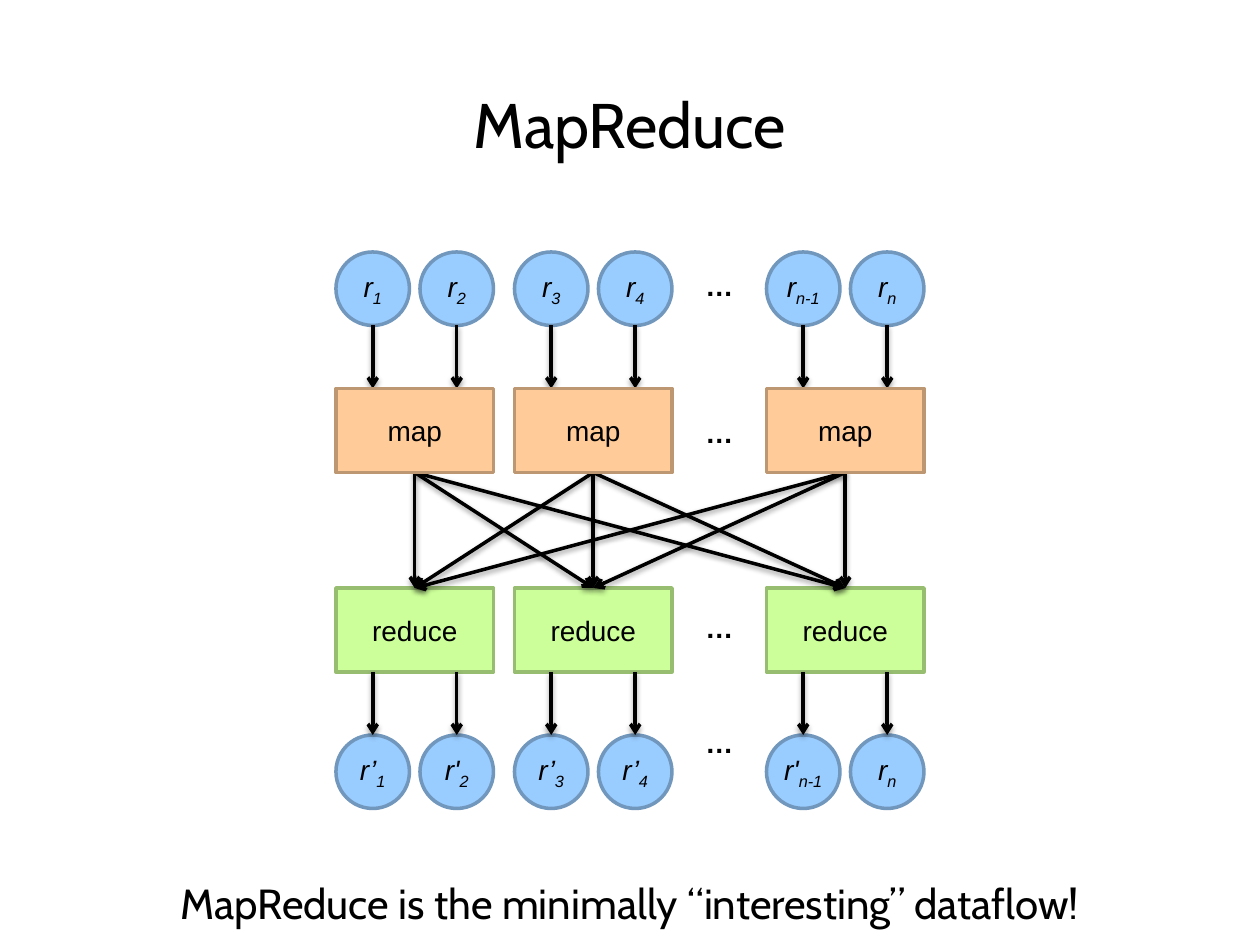
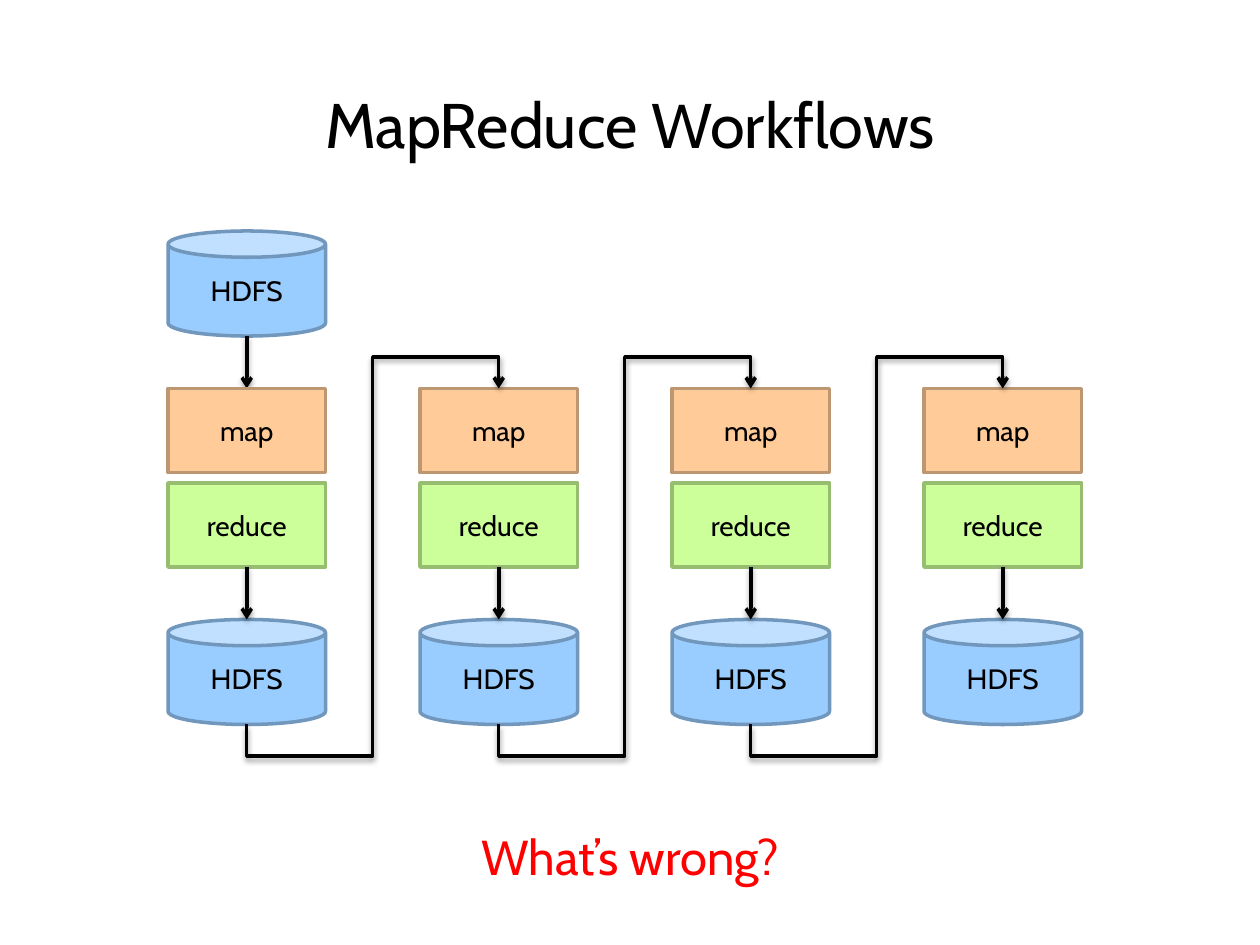
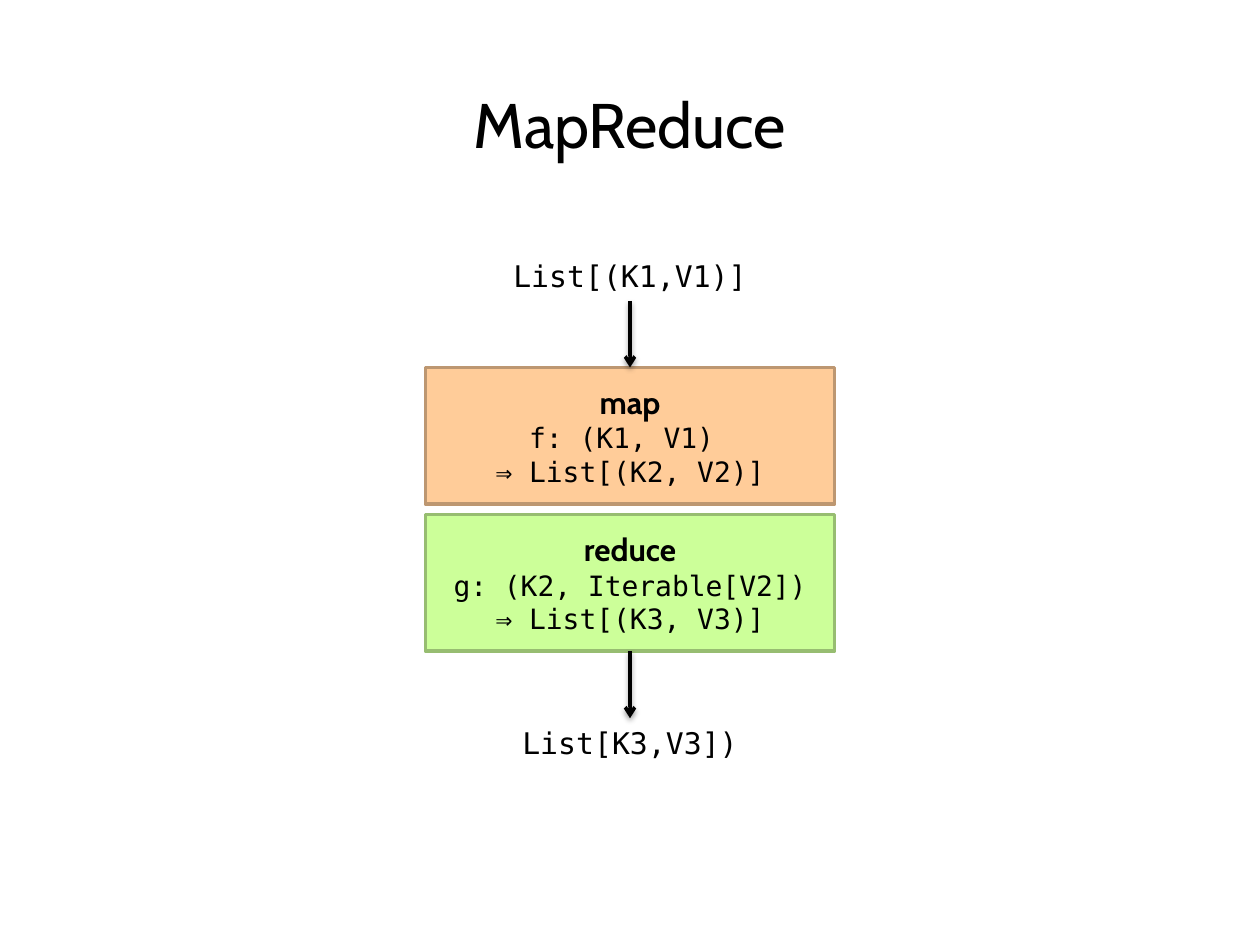
from itertools import product

from lxml.etree import SubElement
from pptx import Presentation
from pptx.dml.color import RGBColor
from pptx.enum.shapes import MSO_CONNECTOR, MSO_SHAPE
from pptx.enum.text import MSO_ANCHOR, PP_ALIGN
from pptx.oxml.ns import qn
from pptx.util import Pt

BLACK, RED = "000000", "FF0000"
BLUE = ("99CCFF", "7197BD")
ORANGE = ("FFCC99", "BD9771")
GREEN = ("CCFF99", "97BD71")

TITLE = {"name": "Cabin", "size": Pt(36)}
CAPTION = {"name": "Cabin", "size": Pt(24)}
QUESTION = {"name": "Cabin", "size": Pt(28)}
STEP = {"name": "Cabin", "size": Pt(16)}
HEADING = {"name": "Cabin", "size": Pt(18), "bold": True}
CODE = {"name": "DejaVu Sans Mono", "size": Pt(16)}
DATA_TYPE = {"name": "DejaVu Sans Mono", "size": Pt(17)}
TASK = {"name": "Arial", "size": Pt(16)}
RECORD = TASK | {"italic": True}
DOTS = TASK | {"bold": True}

CENTRED = {"word_wrap": True, "vertical_anchor": MSO_ANCHOR.MIDDLE}
FROM_TOP = {"word_wrap": True, "vertical_anchor": MSO_ANCHOR.TOP}
UNWRAPPED = {"word_wrap": False}
NO_MARGINS = CENTRED | dict.fromkeys(
    ("margin_left", "margin_top", "margin_right", "margin_bottom"), 0)

STEP_WIDTH, STEP_HEIGHT = 90, 48
RECORD_SIZE, RECORD_PITCH = 42, 48


def apply(target, values):
    """Set each named attribute on the target."""
    for name, value in values.items():
        setattr(target, name, value)


def paint(fill, colour):
    """Give a fill one solid colour from a hex string."""
    fill.solid()
    fill.fore_color.rgb = RGBColor.from_string(colour)


def write(frame, runs, layout=CENTRED, colour=BLACK, align=PP_ALIGN.CENTER):
    """Write (text, font values) runs into one paragraph, breaking at newlines."""
    apply(frame, layout)
    paragraph = frame.paragraphs[0]
    paragraph.alignment = align
    written = []
    for text, font in runs:
        for index, line in enumerate(text.split("\n")):
            if index:
                paragraph.add_line_break()
            if line:
                run = paragraph.add_run()
                run.text = line
                apply(run.font, font)
                paint(run.font.fill, colour)
                written.append(run)
    return written


def titled_slide(deck, title):
    """Add a slide with the shared title style."""
    slide = deck.slides.add_slide(deck.slide_layouts[5])
    heading = slide.shapes.title
    apply(heading, {"left": 0, "top": Pt(43.2), "width": Pt(720), "height": Pt(54)})
    write(heading.text_frame, [(title, TITLE)])
    return slide


def note(slide, box, text, font, layout=FROM_TOP, **style):
    """Add free text in a box of left, top, width and height."""
    area = slide.shapes.add_textbox(*map(Pt, box))
    write(area.text_frame, [(text, font)], layout, **style)


def node(slide, preset, box, colours, runs, layout=CENTRED):
    """Add a filled and outlined diagram node, returning its text runs."""
    body = slide.shapes.add_shape(preset, *map(Pt, box))
    body.shadow.inherit = False
    fill, outline = colours
    paint(body.fill, fill)
    paint(body.line.fill, outline)
    body.line.width = Pt(2)
    return write(body.text_frame, runs, layout)


def step(slide, left, top, text, colours, font):
    """Add a map or reduce box."""
    node(slide, MSO_SHAPE.RECTANGLE, (left, top, STEP_WIDTH, STEP_HEIGHT),
         colours, [(text, font)])


def record(slide, left, top, symbol, index):
    """Add a record circle with a subscript index."""
    runs = node(slide, MSO_SHAPE.OVAL, (left, top, RECORD_SIZE, RECORD_SIZE), BLUE,
                [(symbol, RECORD), (index, RECORD)], NO_MARGINS)
    runs[-1].font._element.set("baseline", "-25000")


def storage(slide, left, top):
    """Add an HDFS cylinder."""
    node(slide, MSO_SHAPE.CAN, (left, top, STEP_WIDTH, 60), BLUE, [("HDFS", STEP)])


def arrow(slide, start, end, kind=MSO_CONNECTOR.STRAIGHT):
    """Add a softly shadowed black arrow between two points."""
    link = slide.shapes.add_connector(kind, *map(Pt, (*start, *end)))
    paint(link.line.fill, BLACK)
    link.line.width = Pt(2)
    properties = link._element.spPr
    SubElement(properties.find(qn("a:ln")), qn("a:tailEnd"), type="arrow")
    effects = SubElement(properties, qn("a:effectLst"))
    shadow = SubElement(effects, qn("a:outerShdw"), blurRad="40000", dist="20000",
                        dir="5400000", rotWithShape="0")
    tint = SubElement(shadow, qn("a:srgbClr"), val=BLACK)
    SubElement(tint, qn("a:alpha"), val="38000")
    return link


def return_arrow(slide, start, end):
    """Add an arrow that leaves downwards, climbs and enters from above."""
    (x1, y1), (x2, y2) = start, end
    middle_x, middle_y = (x1 + x2) / 2, (y1 + y2) / 2
    half_rise, half_run = (y1 - y2) / 2, (x2 - x1) / 2
    link = arrow(slide, (middle_x + half_rise, middle_y + half_run),
                 (middle_x - half_rise, middle_y - half_run), MSO_CONNECTOR.ELBOW)
    properties = link._element.spPr
    properties.find(qn("a:xfrm")).set("rot", "5400000")
    geometry = properties.find(qn("a:prstGeom"))
    geometry.set("prst", "bentConnector5")
    guides = geometry.find(qn("a:avLst"))
    if guides is None:
        guides = SubElement(geometry, qn("a:avLst"))
    for number, value in enumerate((-9375, 50000, 109375), start=1):
        SubElement(guides, qn("a:gd"), name=f"adj{number}", fmla=f"val {value}")


def dataflow_slide(deck):
    """Show records passing through map, shuffle and reduce."""
    slide = titled_slide(deck, "MapReduce")
    lefts = (192, 294, 438)
    centres = [left + STEP_WIDTH / 2 for left in lefts]
    record_lefts = [left + offset for left in lefts for offset in (0, RECORD_PITCH)]
    indices = ("1", "2", "3", "4", "n-1", "n")
    outputs = ("r’", "r'", "r’", "r’", "r'", "r")

    for left in lefts:
        step(slide, left, 336, "reduce", GREEN, TASK)
    for source, target in product(centres, repeat=2):
        arrow(slide, (source, 270), (target, 336))
    for left, index, output in zip(record_lefts, indices, outputs):
        record(slide, left, 144, "r", index)
        record(slide, left, 420, output, index)
        centre = left + RECORD_SIZE / 2
        arrow(slide, (centre, 186), (centre, 222))
        arrow(slide, (centre, 384), (centre, 420))
    for left in lefts:
        step(slide, left, 222, "map", ORANGE, TASK)
    for top in (150, 234, 345.6, 411):
        note(slide, (396, top, 31, 26.6), "…", DOTS, UNWRAPPED, align=PP_ALIGN.LEFT)
    note(slide, (0, 498, 720, 36),
         "MapReduce is the minimally “interesting” dataflow!", CAPTION)


def workflow_slide(deck):
    """Show four chained jobs that pass data through storage."""
    slide = titled_slide(deck, "MapReduce Workflows")
    first_left, pitch, jobs = 96, 144, 4
    storage(slide, first_left, 132)
    arrow(slide, (first_left + STEP_WIDTH / 2, 192), (first_left + STEP_WIDTH / 2, 222))
    for job in range(jobs):
        left = first_left + job * pitch
        centre = left + STEP_WIDTH / 2
        step(slide, left, 276, "reduce", GREEN, STEP)
        step(slide, left, 222, "map", ORANGE, STEP)
        storage(slide, left, 354)
        arrow(slide, (centre, 324), (centre, 354))
        if job:
            return_arrow(slide, (centre - pitch, 414), (centre, 222))
    note(slide, (0, 468.7, 720, 41), "What’s wrong?", QUESTION, colour=RED)


def signature_slide(deck):
    """Show the types that map and reduce take and return."""
    slide = titled_slide(deck, "MapReduce")
    signatures = (
        (210, "map", "f: (K1, V1) \n⇒ List[(K2, V2)]", ORANGE),
        (294, "reduce", "g: (K2, Iterable[V2]) ⇒ List[(K3, V3)]", GREEN),
    )
    for top, name, signature, colours in signatures:
        node(slide, MSO_SHAPE.RECTANGLE, (243, top, 234, 78), colours,
             [(name + "\n", HEADING), (signature, CODE)])
    for top, data in ((144, "List[(K1,V1)]"), (410.4, "List[K3,V3])")):
        note(slide, (240, top, 240, 28), data, DATA_TYPE)
    for start, end in ((172, 210), (372, 410.4)):
        arrow(slide, (360, start), (360, end))


def main():
    """Build and save the deck."""
    deck = Presentation()
    apply(deck, {"slide_width": Pt(720), "slide_height": Pt(540)})
    dataflow_slide(deck)
    workflow_slide(deck)
    signature_slide(deck)
    deck.save("out.pptx")


if __name__ == "__main__":
    main()
